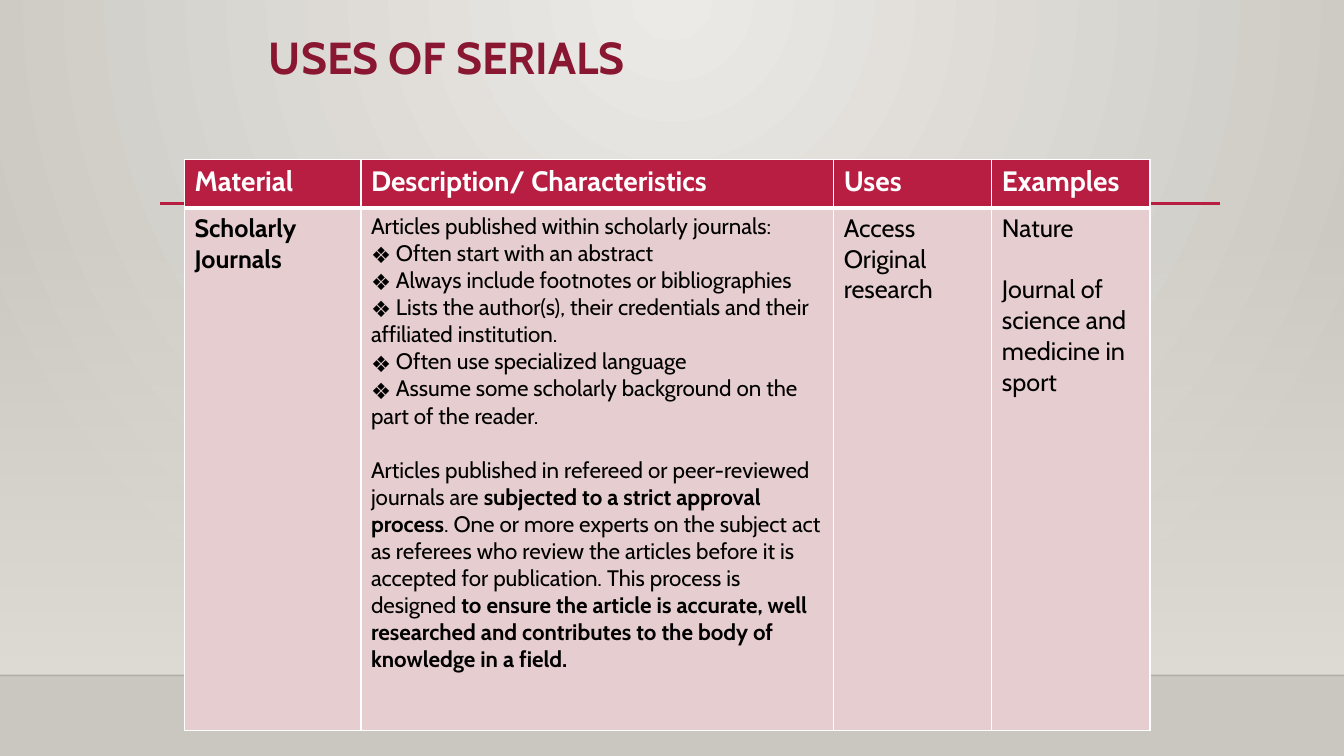
from dataclasses import dataclass

import pptx
import pptx.dml.color
import pptx.enum.shapes
import pptx.oxml
import pptx.oxml.ns
import pptx.slide
import pptx.table
import pptx.text.text
import pptx.util
from lxml import etree

Pt = pptx.util.Pt
FONT = "Cabin"
RED = "B71E42"
BLACK = "000000"
WHITE = "FFFFFF"


@dataclass
class Run:
    text: str
    bold: bool = False


@dataclass
class Para:
    runs: list[Run]
    bullet: bool = False
    gap: float = 0


@dataclass
class Entry:
    paras: list[Para]
    size: float
    color: str = BLACK
    fill: str = "E6CDCF"


@dataclass
class Rule:
    left: float
    right: float
    top: float
    color: str
    width: float
    alpha: int = 100


@dataclass
class Stop:
    place: int
    color: str
    alpha: int = 100


def paint(text: str) -> pptx.dml.color.RGBColor:
    return pptx.dml.color.RGBColor.from_string(text)


def build(xml: str) -> etree.ElementBase:
    head, tail = xml.split(" ", 1)
    return pptx.oxml.parse_xml(f"{head} {pptx.oxml.ns.nsdecls('a')} {tail}")


def shade(root: etree.ElementBase, stops: list[Stop], course: str) -> None:
    marks = "".join(
        f'<a:gs pos="{s.place * 1000}"><a:srgbClr val="{s.color}">'
        f'<a:alpha val="{s.alpha * 1000}"/></a:srgbClr></a:gs>'
        for s in stops
    )
    old = root.find(".//" + pptx.oxml.ns.qn("a:gradFill"))
    new = build(f'<a:gradFill rotWithShape="1"><a:gsLst>{marks}</a:gsLst>{course}</a:gradFill>')
    old.getparent().replace(old, new)


def draw_rule(slide: pptx.slide.Slide, rule: Rule) -> None:
    line = slide.shapes.add_connector(
        pptx.enum.shapes.MSO_CONNECTOR.STRAIGHT,
        Pt(rule.left), Pt(rule.top), Pt(rule.right), Pt(rule.top),
    )
    line.line.width = Pt(rule.width)
    line.line.color.rgb = paint(rule.color)
    if rule.alpha < 100:
        tint = line.element.spPr.find(".//" + pptx.oxml.ns.qn("a:srgbClr"))
        tint.append(build(f'<a:alpha val="{rule.alpha * 1000}"/>'))
    line.element.spPr.append(build("<a:effectLst />"))


def write(frame: pptx.text.text.TextFrame, entry: Entry) -> None:
    frame.word_wrap = True
    for spot, item in enumerate(entry.paras):
        para = frame.add_paragraph() if spot else frame.paragraphs[0]
        if item.bullet:
            props = para._p.get_or_add_pPr()
            props.set("marL", "0")
            props.set("indent", "0")
            props.append(build('<a:buFont typeface="Noto Sans Symbols"/>'))
            props.append(build('<a:buChar char="❖"/>'))
        if item.gap:
            para.space_before = Pt(item.gap)
        for part in item.runs:
            run = para.add_run()
            run.text = part.text
            run.font.name = FONT
            run.font.size = Pt(entry.size)
            run.font.bold = part.bold
            run.font.color.rgb = paint(entry.color)


def fill_cell(cell: pptx.table._Cell, entry: Entry, edges: dict[str, float]) -> None:
    write(cell.text_frame, entry)
    cell.fill.solid()
    cell.fill.fore_color.rgb = paint(entry.fill)
    props = cell._tc.get_or_add_tcPr()
    for spot, (side, width) in enumerate(edges.items()):
        props.insert(spot, build(
            f'<a:ln{side} w="{Pt(width)}"><a:solidFill><a:srgbClr val="{WHITE}"/>'
            f"</a:solidFill></a:ln{side}>"
        ))


def plain(text: str, bold: bool = False, bullet: bool = False, gap: float = 0) -> Para:
    return Para([Run(text, bold)], bullet, gap)


TRAITS = [
    " Often start with an abstract",
    " Always include footnotes or bibliographies",
    " Lists the author(s), their credentials and their affiliated institution.",
    " Often use specialized language",
    " Assume some scholarly background on the part of the reader.",
]
REVIEW = Para([
    Run("Articles published in refereed or peer-reviewed journals are "),
    Run("subjected to a strict approval process", True),
    Run(". One or more experts on the subject act as referees who review the articles "
        "before it is accepted for publication. This process is designed "),
    Run("to ensure the article is accurate, well researched and contributes to the body "
        "of knowledge in a field.", True),
], gap=19.4)
HEADS = ["Material", "Description/ Characteristics", "Uses", "Examples"]
ROWS = [
    [Entry([plain(head, True)], 20, WHITE, RED) for head in HEADS],
    [
        Entry([plain("Scholarly Journals", True)], 18),
        Entry([
            plain("Articles published within scholarly journals:"),
            *[plain(trait, bullet=True) for trait in TRAITS],
            REVIEW,
        ], 16),
        Entry([plain("Access Original research")], 18),
        Entry([plain("Nature"), plain("Journal of science and medicine in sport", gap=22)], 18),
    ],
]
EDGES = [
    {"L": 1, "R": 1, "T": 1, "B": 3},
    {"L": 1, "R": 1, "T": 3, "B": 1},
]
WIDTHS = [126, 337.7, 113, 113]
HEIGHTS = [34.8, 373]
RULES = [
    Rule(0, 960, 482.4, "000001", 1, 20),
    Rule(114.5, 871.2, 145.4, RED, 2.5),
]


def main() -> None:
    deck = pptx.Presentation()
    deck.slide_width, deck.slide_height = Pt(960), Pt(540)
    slide = deck.slides.add_slide(deck.slide_layouts[6])

    slide.background.fill.gradient()
    shade(slide.element, [Stop(0, "ECEAE7"), Stop(100, "CAC7C1")],
          '<a:path path="circle"><a:fillToRect l="43000" r="43000" b="100000"/></a:path>')
    wall = slide.shapes.add_shape(
        pptx.enum.shapes.MSO_SHAPE.RECTANGLE, Pt(0), Pt(159.1), Pt(960), Pt(323.3))
    wall.shadow.inherit = False
    wall.line.fill.background()
    wall.fill.gradient()
    shade(wall.element, [Stop(0, "DFDBD5", 0), Stop(100, "DFDBD5")],
          '<a:lin ang="5400000" scaled="0"/>')
    for rule in RULES:
        draw_rule(slide, rule)

    title = slide.shapes.add_textbox(Pt(185), Pt(22.3), Pt(594), Pt(79.2))
    write(title.text_frame, Entry([plain("USES OF SERIALS", True)], 32, "891731"))
    title.text_frame.paragraphs[0].line_spacing = 0.9

    table = slide.shapes.add_table(
        len(ROWS), len(WIDTHS), Pt(131.8), Pt(113.8), Pt(sum(WIDTHS)), Pt(sum(HEIGHTS))).table
    for column, width in zip(table.columns, WIDTHS):
        column.width = Pt(width)
    for row, height, items, edges in zip(table.rows, HEIGHTS, ROWS, EDGES):
        row.height = Pt(height)
        for cell, entry in zip(row.cells, items):
            fill_cell(cell, entry, edges)

    deck.save("out.pptx")


if __name__ == "__main__":
    main()
